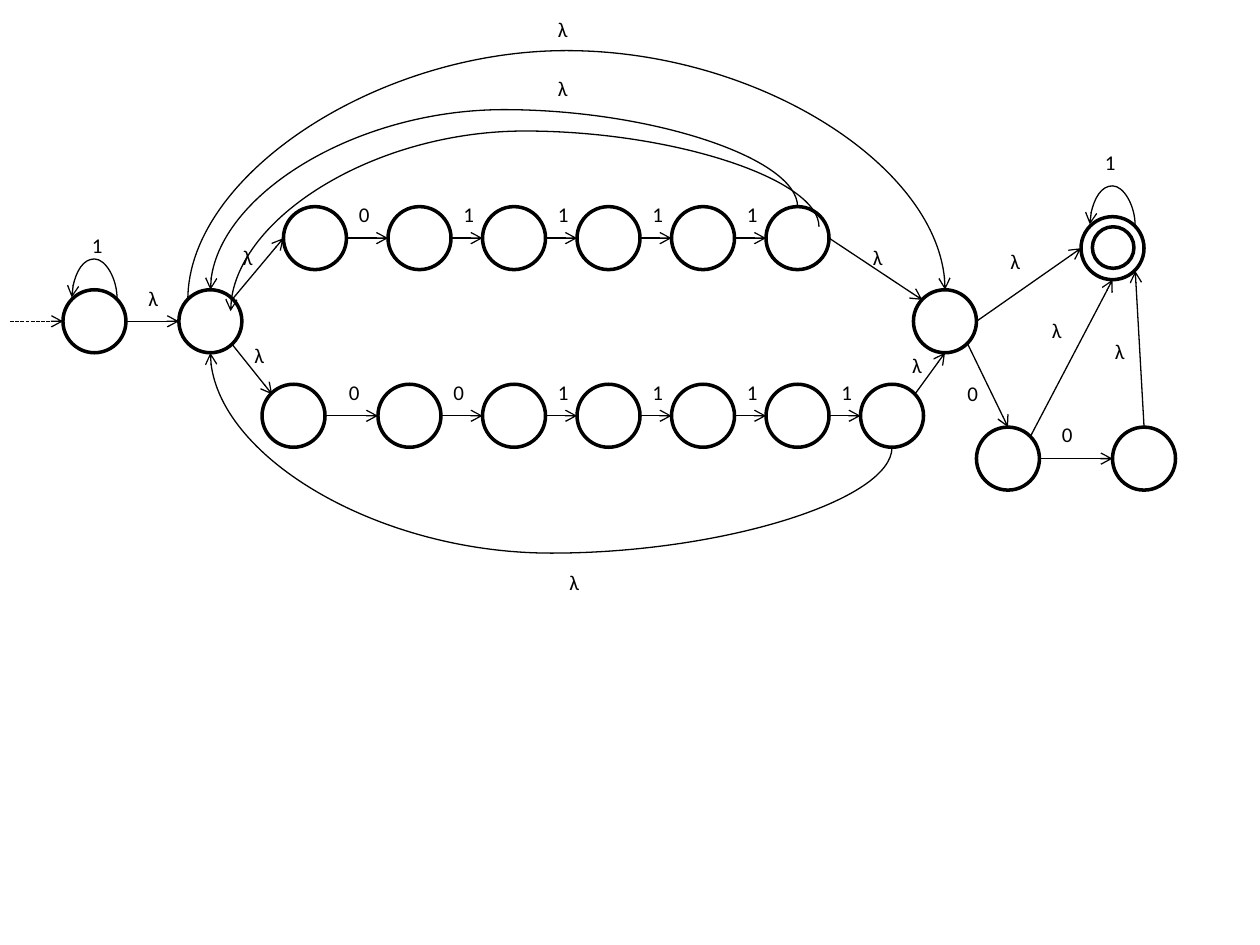
from lxml import etree
from pptx import Presentation
from pptx.dml.color import RGBColor
from pptx.enum.dml import MSO_LINE
from pptx.enum.shapes import MSO_CONNECTOR, MSO_SHAPE
from pptx.enum.text import MSO_AUTO_SIZE, MSO_ANCHOR
from pptx.oxml.ns import qn
from pptx.util import Inches, Pt

BLACK = RGBColor(0x00, 0x00, 0x00)
FONT = "Calibri"
STATE = 0.5          # diameter of a state
RADIUS = STATE / 2
DIAGONAL = 0.18      # offset of the circle's diagonal points from its centre
LAMBDA = "λ"

prs = Presentation()
prs.slide_width, prs.slide_height = Inches(10), Inches(7.5)
slide = prs.slides.add_slide(prs.slide_layouts[6])


# Basic parts of the automaton
def add_state(left, top, size=STATE):
    circle = slide.shapes.add_shape(MSO_SHAPE.OVAL, Inches(left), Inches(top),
                                    Inches(size), Inches(size))
    circle.shadow.inherit = False
    circle.fill.background()
    circle.line.color.rgb = BLACK
    circle.line.width = Pt(2)


def add_label(left, top, text):
    box = slide.shapes.add_textbox(Inches(left), Inches(top), Inches(0.29), Inches(0.3))
    frame = box.text_frame
    frame.word_wrap = False
    frame.auto_size = MSO_AUTO_SIZE.SHAPE_TO_FIT_TEXT
    frame.vertical_anchor = MSO_ANCHOR.TOP
    run = frame.paragraphs[0].add_run()
    run.text = text
    run.font.name, run.font.size = FONT, Pt(12)
    run.font.color.rgb = BLACK


def add_arrow(x1, y1, x2, y2, kind=MSO_CONNECTOR.STRAIGHT):
    arrow = slide.shapes.add_connector(kind, Inches(x1), Inches(y1), Inches(x2), Inches(y2))
    arrow.line.color.rgb = BLACK
    arrow.line.width = Pt(0.75)
    etree.SubElement(arrow.line._get_or_add_ln(), qn("a:tailEnd"), type="arrow")
    etree.SubElement(arrow._element.spPr, qn("a:effectLst"))
    return arrow


def add_arc(x1, y1, x2, y2, apex):
    """Curved arrow that leaves and arrives vertically and turns at height apex."""
    rise = y2 - y1 or -0.01
    length, breadth = abs(rise), abs(x2 - x1)
    left = (x1 + x2 - length) / 2
    top = y1 + (rise - breadth) / 2
    arc = add_arrow(left, top, left + length, top + breadth, MSO_CONNECTOR.CURVE)
    # The connector is horizontal by nature, so it is turned a quarter
    xfrm = arc._element.spPr.find(qn("a:xfrm"))
    xfrm.set("rot", str(90 * 60000))
    if rise < 0:
        xfrm.set("flipH", "1")
    if x2 > x1:
        xfrm.set("flipV", "1")
    geometry = arc._element.spPr.find(qn("a:prstGeom"))
    guides = geometry.find(qn("a:avLst"))
    if guides is None:
        guides = etree.SubElement(geometry, qn("a:avLst"))
    bend = round((apex - y1) / rise * 100000)
    etree.SubElement(guides, qn("a:gd"), name="adj1", fmla=f"val {bend}")


# Regions
def add_looped_state(left, top, label_left, label_top, apex):
    """State with a loop on 1 above it."""
    add_state(left, top)
    middle, shoulder = left + RADIUS, top + RADIUS - DIAGONAL
    add_arc(middle + DIAGONAL, shoulder, middle - DIAGONAL, shoulder, apex)
    add_label(label_left, label_top, "1")


def add_chain(lefts, top, symbols):
    """Row of states joined by labelled arrows."""
    for left in lefts:
        add_state(left, top)
    for left, following, symbol in zip(lefts, lefts[1:], symbols):
        add_arrow(left + STATE, top + RADIUS, following, top + RADIUS)
        add_label(left + STATE + 0.09 * (left < 2.1), top - 0.09, symbol)


def add_start(left, top):
    """Entry arrow, looped first state and the branching state."""
    middle = top + RADIUS
    entry = add_arrow(left - 0.42, middle, left, middle)
    entry.line.dash_style = MSO_LINE.SQUARE_DOT
    add_looped_state(left, top, left + 0.13, top - 0.5, top - 0.25)
    add_arrow(left + STATE, middle, left + 0.92, middle)
    add_label(left + 0.58, top - 0.08, LAMBDA)
    add_state(left + 0.92, top)


def add_finish(left, top):
    """Joining state, two states on 0 and the accepting state."""
    add_state(left, top)
    for offset in (0.5, 1.58):
        add_state(left + offset, top + 1.09)
    add_looped_state(left + 1.33, top - 0.58, left + 1.42, top - 1.16, top - 0.83)
    add_state(left + 1.42, top - 0.5, 0.33)
    for x1, y1, x2, y2, label_x, label_y, symbol in (
            (0.5, 0.25, 1.33, -0.33, 0.67, -0.38, LAMBDA),
            (0.43, 0.43, 0.75, 1.09, 0.33, 0.67, "0"),
            (1, 1.34, 1.58, 1.34, 1.08, 1, "0"),
            (0.93, 1.16, 1.58, -0.08, 1, 0.17, LAMBDA),
            (1.83, 1.09, 1.76, -0.15, 1.5, 0.34, LAMBDA)):
        add_arrow(left + x1, top + y1, left + x2, top + y2)
        add_label(left + label_x, top + label_y, symbol)


add_start(0.5, 2.3)
add_chain([2.25] + [3.08 + 0.75 * i for i in range(5)], 1.64, "01111")
add_chain([2.08] + [3 + 0.83 * (i > 0) + 0.75 * max(i - 1, 0) for i in range(6)],
          3.05, "001111")
add_finish(7.25, 2.3)

# Branches into and out of the two chains
for ends, label_at in (((1.84, 2.38, 2.25, 1.89), (1.83, 1.89)),
                       ((1.84, 2.73, 2.16, 3.13), (1.92, 2.67)),
                       ((6.58, 1.89, 7.32, 2.38), (6.83, 1.89)),
                       ((7.26, 3.13, 7.5, 2.8), (7.14, 2.75))):
    add_arrow(*ends)
    add_label(*label_at, LAMBDA)

# Long arcs: skip forward, then the repeats
for arc in ((1.49, 2.38, 7.5, 2.3, 0.4), (6.33, 1.64, 1.67, 2.3, 0.87),
            (7.08, 3.55, 1.67, 2.8, 4.39), (6.5, 1.8, 1.83, 2.47, 1.04)):
    add_arc(*arc)
for label_at in ((4.33, 0.08), (4.33, 0.55), (4.42, 4.47)):
    add_label(*label_at, LAMBDA)

prs.save("out.pptx")
